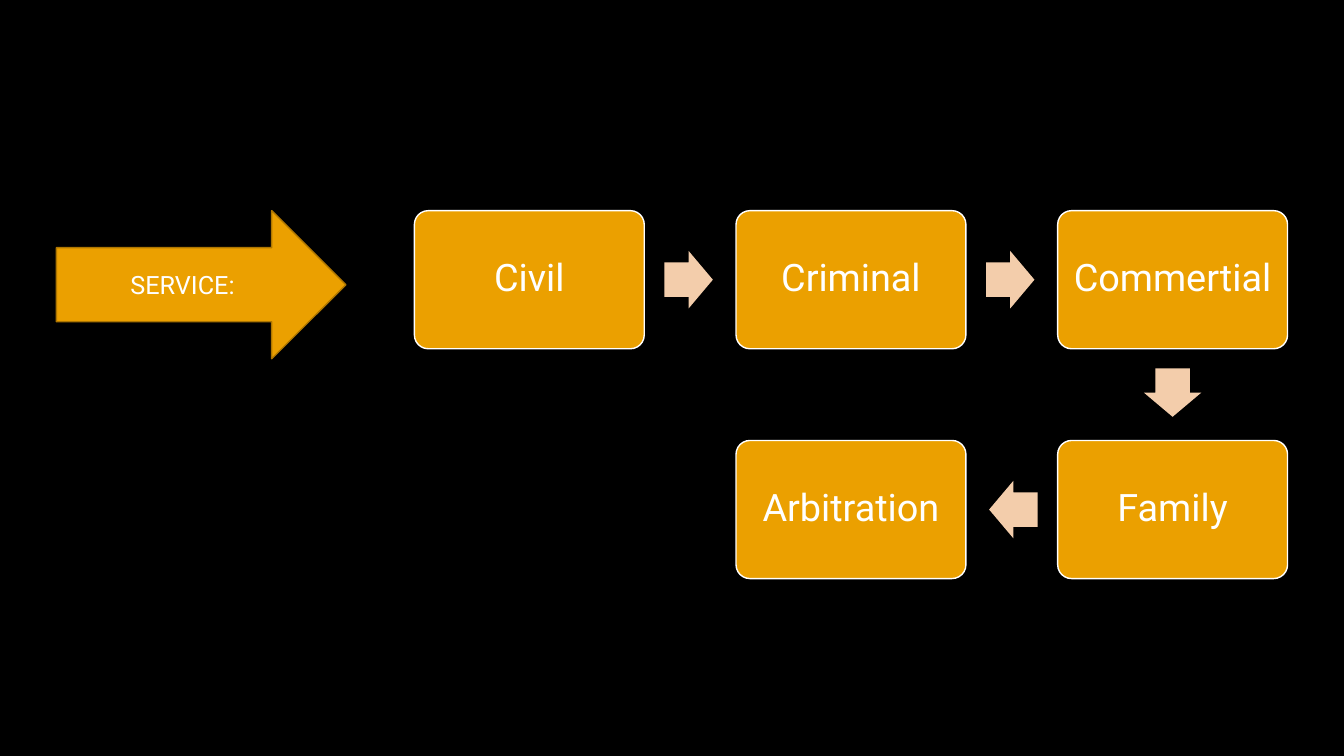
from pptx import Presentation
from pptx.dml.color import RGBColor
from pptx.enum.shapes import MSO_SHAPE
from pptx.enum.text import MSO_ANCHOR, PP_ALIGN
from pptx.util import Inches, Pt

ROUNDED = MSO_SHAPE.ROUNDED_RECTANGLE
ARROW = MSO_SHAPE.RIGHT_ARROW
MIDDLE = MSO_ANCHOR.MIDDLE
CENTER = PP_ALIGN.CENTER

BLACK, WHITE = "000000", "FFFFFF"
AMBER, DARK_AMBER, PEACH = "EBA000", "AE7600", "F3CDAB"

# Grid of service boxes, in inches
GRID_LEFT, GRID_TOP = 4.11, 2.09
COLUMN_STEP, ROW_STEP = 3.19, 2.28
BOX_WIDTH, BOX_HEIGHT = 2.28, 1.37
ARROW_WIDTH, ARROW_HEIGHT = 0.48, 0.57

# Label, column, row
SERVICES = [
    ("Civil", 0, 0),
    ("Criminal", 1, 0),
    ("Commertial", 2, 0),
    ("Family", 2, 1),
    ("Arbitration", 1, 1),
]

# Left, top, rotation
STEP_ARROWS = [
    (6.59, 2.49, 0),
    (9.78, 2.49, 0),
    (11.39, 3.61, 90),
    (9.81, 4.77, 180),
]


def color(hex_value):
    return RGBColor.from_string(hex_value)


def set_values(target, values):
    for name, value in values.items():
        setattr(target, name, value)


def add_block(page, kind, left, top, width, height, fill, line=None):
    block = page.shapes.add_shape(
        kind, Inches(left), Inches(top), Inches(width), Inches(height))
    block.shadow.inherit = False
    block.fill.solid()
    block.fill.fore_color.rgb = color(fill)
    if line:
        block.line.color.rgb = color(line)
        block.line.width = Pt(1)
    else:
        block.line.fill.background()
    return block


def add_label(block, text, size, line_spacing=1.0):
    frame = block.text_frame
    set_values(frame, {
        "word_wrap": True,
        "vertical_anchor": MIDDLE,
        "margin_left": Inches(0.05),
        "margin_right": Inches(0.05),
    })
    para = frame.paragraphs[0]
    set_values(para, {"alignment": CENTER, "line_spacing": line_spacing})
    span = para.add_run()
    span.text = text
    set_values(span.font, {"name": "Roboto", "size": Pt(size)})
    span.font.color.rgb = color(WHITE)


def add_service(page, text, column, row):
    box = add_block(page, ROUNDED,
                    GRID_LEFT + column * COLUMN_STEP, GRID_TOP + row * ROW_STEP,
                    BOX_WIDTH, BOX_HEIGHT, AMBER, WHITE)
    box.adjustments[0] = 0.1
    add_label(box, text, 27, 0.9)


def add_step_arrow(page, left, top, rotation):
    arrow = add_block(page, ARROW, left, top, ARROW_WIDTH, ARROW_HEIGHT, PEACH)
    arrow.adjustments[0] = 0.6
    arrow.adjustments[1] = 0.5
    arrow.rotation = rotation


def main():
    deck = Presentation()
    set_values(deck, {"slide_width": Inches(13.33), "slide_height": Inches(7.5)})
    page = deck.slides.add_slide(deck.slide_layouts[6])

    # Black background
    page.background.fill.solid()
    page.background.fill.fore_color.rgb = color(BLACK)

    # Services and the arrows between them
    for service in SERVICES:
        add_service(page, *service)
    for step_arrow in STEP_ARROWS:
        add_step_arrow(page, *step_arrow)

    # Title arrow
    title = add_block(page, ARROW, 0.56, 2.09, 2.87, 1.47, AMBER, DARK_AMBER)
    add_label(title, "SERVICE:", 18)

    deck.save("out.pptx")


if __name__ == "__main__":
    main()
